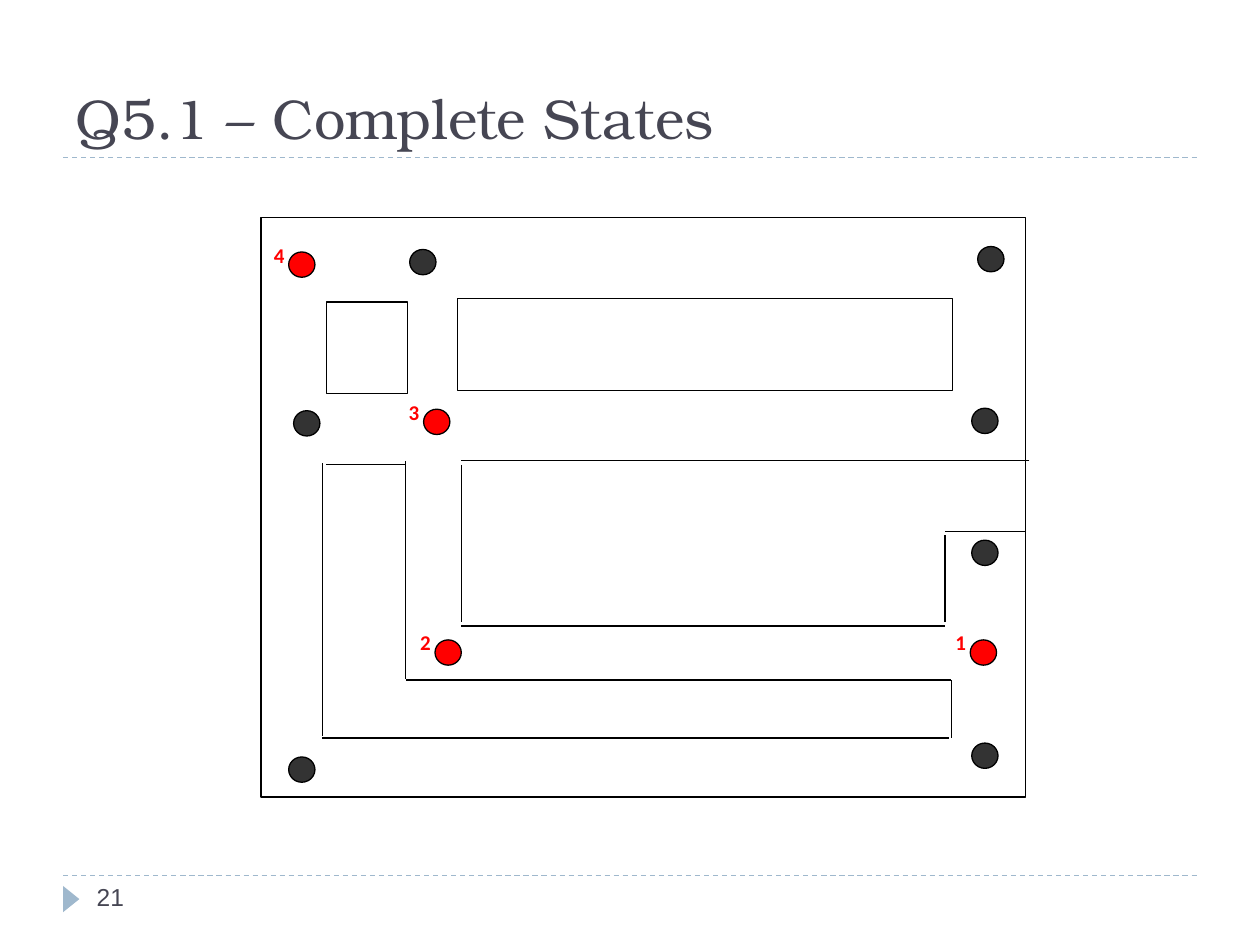
from lxml.etree import SubElement
from pptx import Presentation
from pptx.dml.color import RGBColor
from pptx.enum.dml import MSO_LINE
from pptx.enum.shapes import MSO_CONNECTOR, MSO_SHAPE
from pptx.enum.text import MSO_ANCHOR, PP_ALIGN
from pptx.oxml.ns import qn
from pptx.util import Cm, Pt

COLORS = {"ink": "464653", "accent": "9FB8CD", "wall": "000000",
          "room": "FFFFFF", "corner": "333333", "state": "FF0000"}
TITLE_FONT = {"name": "TeX Gyre Bonum", "size": Pt(32), "bold": False}
NUMBER_FONT = {"name": "Arial", "size": Pt(14)}
LABEL_FONT = {"name": "Calibri", "size": Pt(12), "bold": True}
DOT_SIZE = (0.53, 0.51)
LABEL_SHIFT = (-0.3, -0.2)
LABEL_SIZE = (0.61, 0.86)

ROOMS = [(0, 0, 15.42, 11.68), (3.96, 1.63, 9.98, 1.85), (1.32, 1.7, 1.63, 1.85)]
WALLS = [
    (15.49, 4.9, 4.04, 4.9), (4.04, 4.98, 4.04, 8.15), (4.04, 8.23, 13.79, 8.23),
    (13.79, 8.15, 13.79, 6.4), (13.79, 6.32, 15.42, 6.32),
    (2.92, 4.98, 1.32, 4.98), (2.92, 4.9, 2.92, 9.3), (2.92, 9.32, 13.92, 9.32),
    (13.92, 9.32, 13.92, 10.49), (1.24, 4.95, 1.24, 10.44), (13.87, 10.49, 1.24, 10.49),
]
CORNERS = [(0.56, 10.87), (14.33, 10.59), (0.66, 3.89), (3, 0.64),
           (14.33, 6.5), (14.33, 3.84), (14.45, 0.58)]
STATES = [(14.3, 8.51), (3.51, 8.51), (3.28, 3.86), (0.56, 0.69)]


def color(name):
    return RGBColor.from_string(COLORS[name])


def add_line(page, x1, y1, x2, y2, name="wall", dash=None):
    line = page.shapes.add_connector(
        MSO_CONNECTOR.STRAIGHT, Cm(x1), Cm(y1), Cm(x2), Cm(y2))
    line.line.color.rgb = color(name)
    line.line.width = Pt(0.75)
    line.line.dash_style = dash
    SubElement(line._element.spPr, qn("a:effectLst"))


def add_figure(page, kind, box, fill, outline=None):
    figure = page.shapes.add_shape(kind, *map(Cm, box))
    figure.shadow.inherit = False
    figure.fill.solid()
    figure.fill.fore_color.rgb = color(fill)
    if outline:
        figure.line.color.rgb = color(outline)
        figure.line.width = Pt(0.75)
    else:
        figure.line.fill.background()
    return figure


def write(frame, text, font, name):
    frame.word_wrap = True
    para = frame.paragraphs[0]
    para.alignment = PP_ALIGN.LEFT
    span = para.add_run()
    span.text = text
    for key, value in font.items():
        setattr(span.font, key, value)
    span.font.color.rgb = color(name)


def add_text(page, box, text, font, name, margin):
    frame = page.shapes.add_textbox(*map(Cm, box)).text_frame
    for side, gap in zip(("left", "top", "right", "bottom"), margin * 2):
        setattr(frame, f"margin_{side}", Cm(gap))
    write(frame, text, font, name)


def add_heading(page, box):
    left, top, width, height = box
    title = page.shapes.title
    for key, value in zip(("left", "top", "width", "height"), box):
        setattr(title, key, Cm(value))
    title.text_frame.vertical_anchor = MSO_ANCHOR.BOTTOM
    write(title.text_frame, "Q5.1 – Complete States", TITLE_FONT, "ink")
    bottom = top + height
    add_line(page, left, bottom, left + width, bottom, "accent", MSO_LINE.DASH)


def add_footer(page, box):
    left, top, width, height = box
    add_line(page, left, top, left + width, top, "accent", MSO_LINE.DASH)
    marker = add_figure(page, MSO_SHAPE.ISOSCELES_TRIANGLE,
                        (left - 0.1, top + 0.31, 0.53, 0.33), "accent")
    marker.rotation = 90
    add_text(page, (left + 0.43, top, 5.51, height), "21", NUMBER_FONT, "ink", (0.25, 0.13))


def add_floor_plan(page, box):
    left, top = box[:2]
    for x, y, width, height in ROOMS:
        add_figure(page, MSO_SHAPE.RECTANGLE, (left + x, top + y, width, height), "room", "wall")
    for x1, y1, x2, y2 in WALLS:
        add_line(page, left + x1, top + y1, left + x2, top + y2)
    for x, y in CORNERS:
        add_figure(page, MSO_SHAPE.OVAL, (left + x, top + y, *DOT_SIZE), "corner", "wall")
    for number, (x, y) in enumerate(STATES, 1):
        label = (left + x + LABEL_SHIFT[0], top + y + LABEL_SHIFT[1], *LABEL_SIZE)
        add_text(page, label, str(number), LABEL_FONT, "state", (0, 0))
        add_figure(page, MSO_SHAPE.OVAL, (left + x, top + y, *DOT_SIZE), "state", "wall")


def main():
    deck = Presentation()
    deck.slide_width, deck.slide_height = Cm(25.4), Cm(19.05)
    page = deck.slides.add_slide(deck.slide_layouts[5])
    add_heading(page, (1.27, 0.43, 22.86, 2.74))
    add_footer(page, (1.27, 17.65, 22.86, 1.02))
    add_floor_plan(page, (5.26, 4.39, 15.42, 11.68))
    deck.save("out.pptx")


if __name__ == "__main__":
    main()
